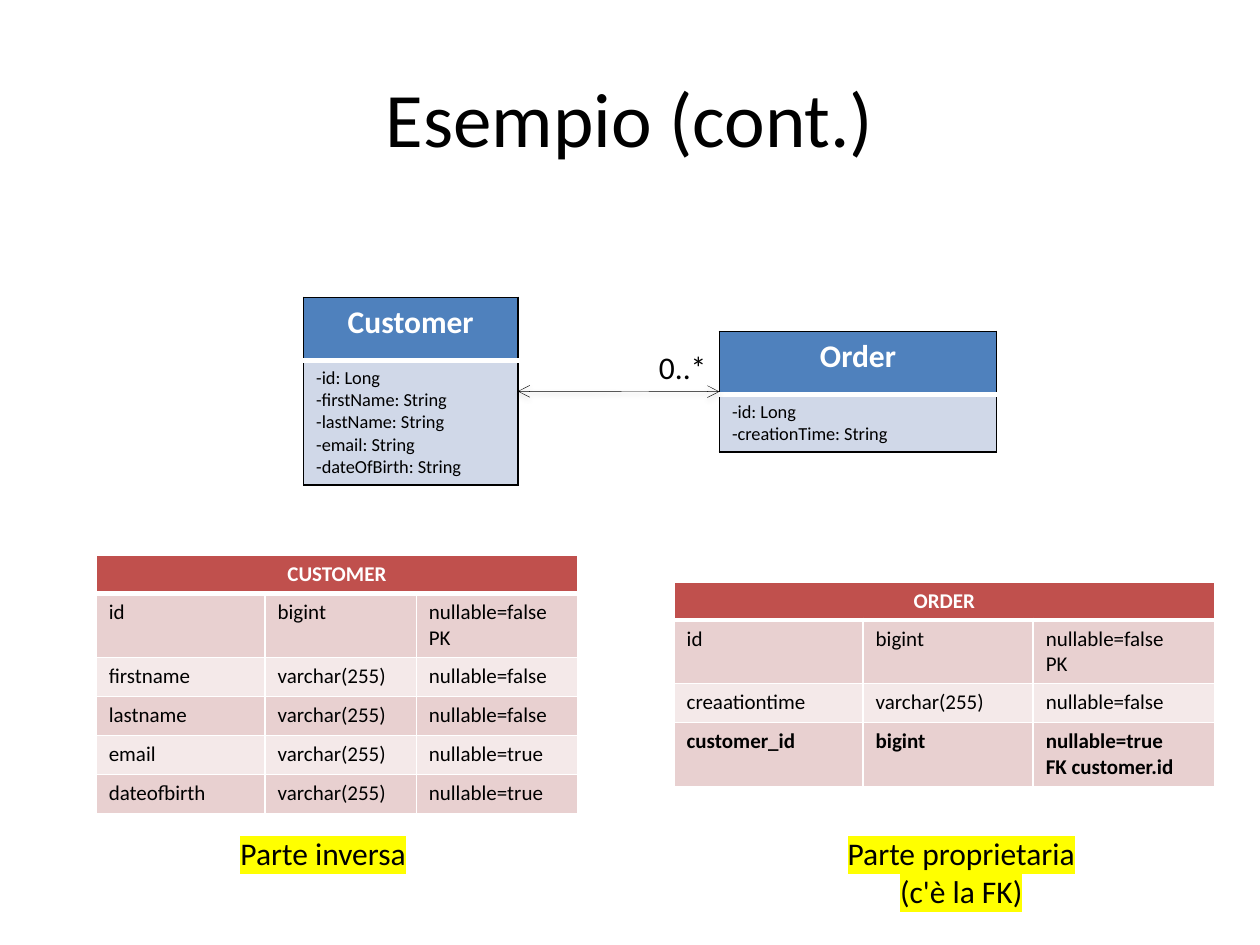
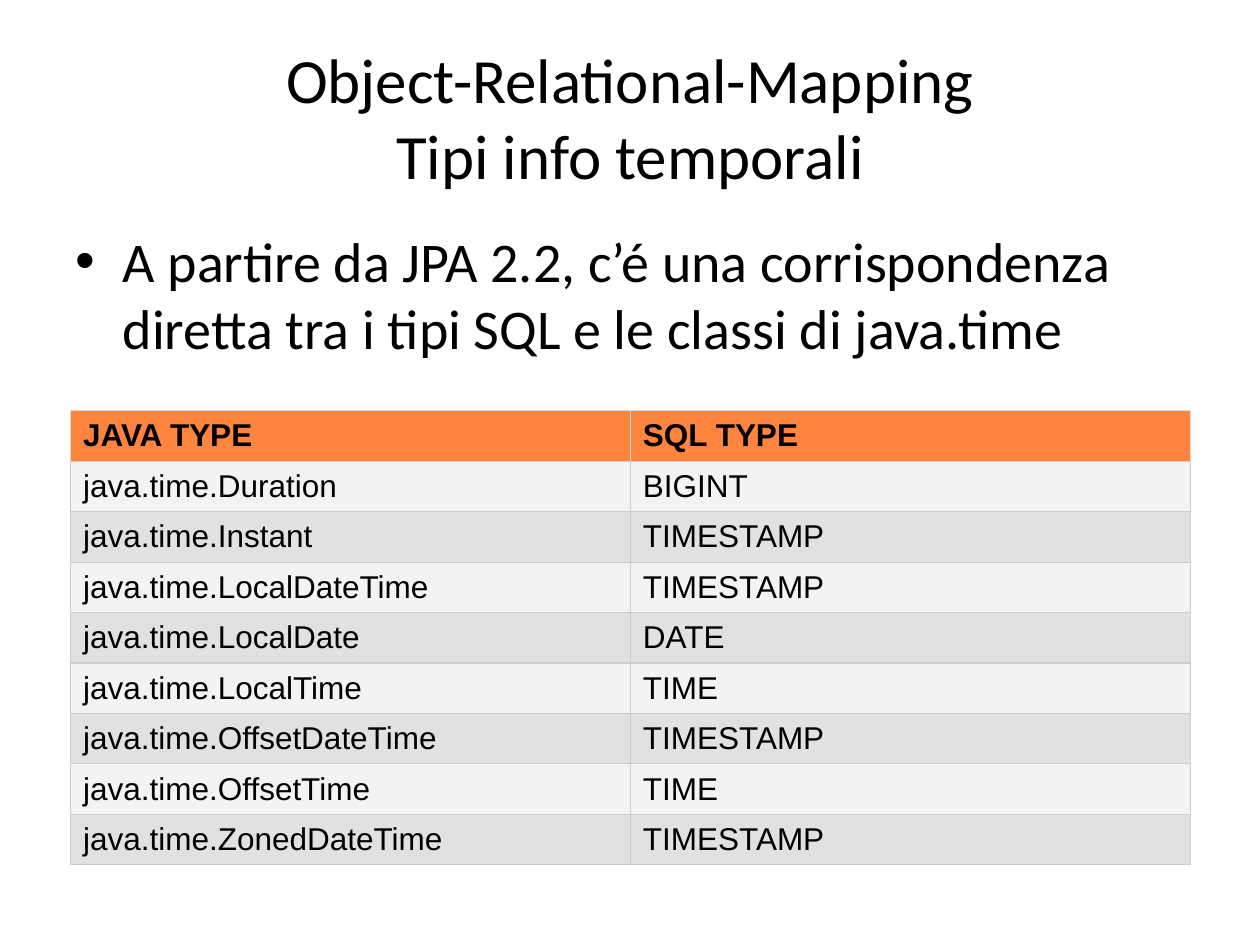
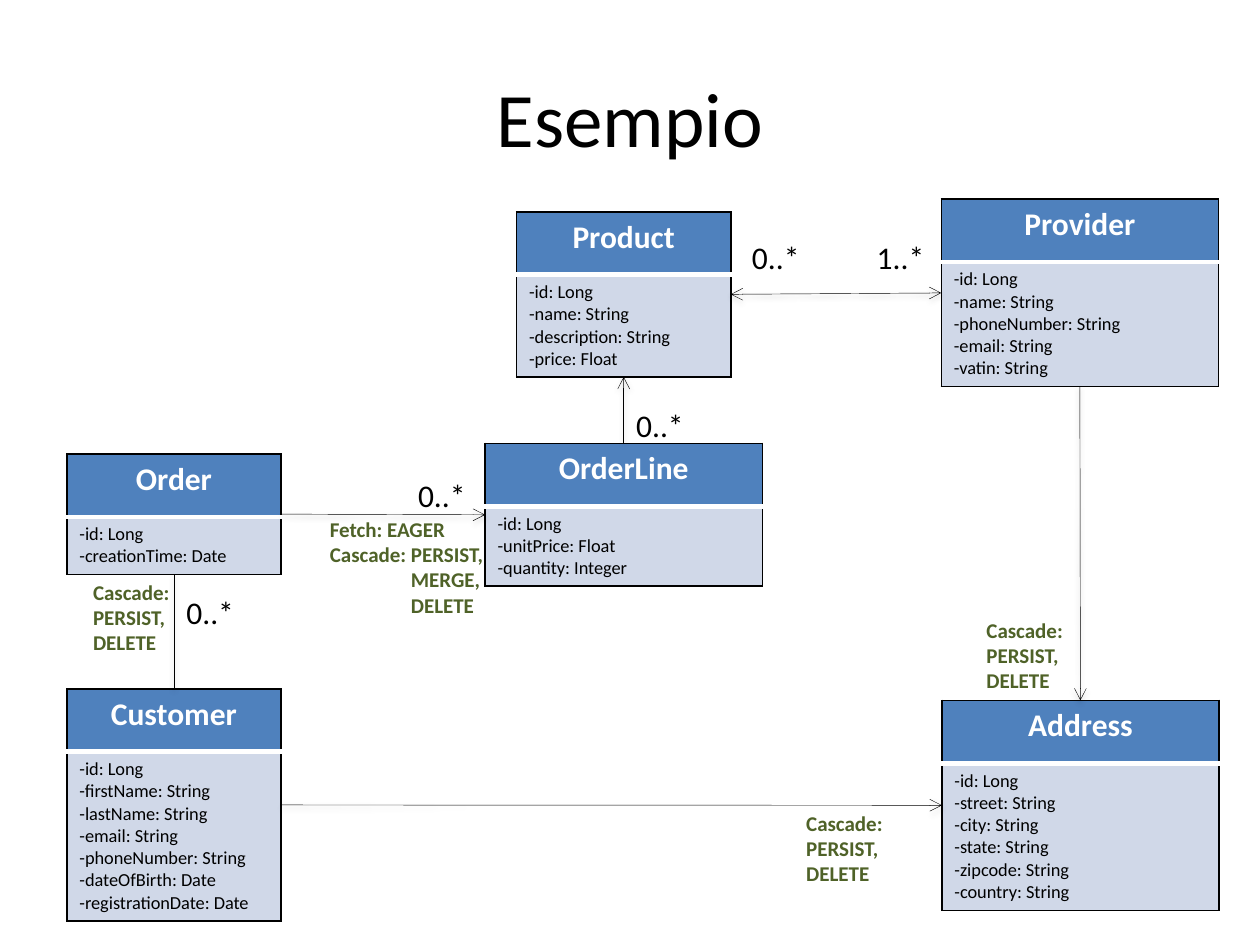
"""Build three slides on object-relational mapping."""
import dataclasses

import lxml.etree
import pptx
import pptx.dml.color
import pptx.enum.shapes
import pptx.enum.text
import pptx.oxml.ns
import pptx.util

Pt = pptx.util.Pt
qn = pptx.oxml.ns.qn
ALIGN = pptx.enum.text.PP_ALIGN
ANCHOR = pptx.enum.text.MSO_ANCHOR
TOP, LEFT, BOTTOM, RIGHT = range(4)


@dataclasses.dataclass(frozen=True)
class Theme:
    font: str = "Calibri"
    type_font: str = "Arial"
    black: str = "000000"
    white: str = "FFFFFF"
    class_head: str = "4F81BD"
    class_body: str = "D0D8E8"
    db_head: str = "C0504D"
    db_bands: tuple = ("E8D0D0", "F4E9E9")
    type_head: str = "FF843D"
    type_bands: tuple = ("F3F3F3", "E2E1E1")
    type_line: str = "CCCCCC"
    type_head_line: str = "D9DCDD"
    note: str = "4F6228"
    marker: str = "FFFF00"
    title: float = 44
    long_title: float = 36
    body: float = 32
    label: float = 18
    small: float = 12
    attribute: float = 10.5


T = Theme()
NARROW, WIDE = 122.4, 158.4

MAPPING = {
    "title": "Esempio (cont.)",
    "classes": {
        "Customer": (173.5, 170, NARROW, [
            "id: Long", "firstName: String", "lastName: String",
            "email: String", "dateOfBirth: String"]),
        "Order": (411.1, 189.4, WIDE, ["id: Long", "creationTime: String"]),
    },
    "links": [("Customer", RIGHT, "Order", LEFT, "both")],
    "multiplicities": [("0..*", 369.4, 195.1)],
}
DB_TABLES = [
    ("CUSTOMER", 55, 317.5, (96.5, 86.4, 92.2), [
        ("id", "bigint", "nullable=false\nPK"),
        ("firstname", "varchar(255)", "nullable=false"),
        ("lastname", "varchar(255)", "nullable=false"),
        ("email", "varchar(255)", "nullable=true"),
        ("dateofbirth", "varchar(255)", "nullable=true")]),
    ("ORDER", 385.2, 332.6, (108, 97.2, 103.7), [
        ("id", "bigint", "nullable=false\nPK"),
        ("creaationtime", "varchar(255)", "nullable=false"),
        ("customer_id", "bigint", "nullable=true\nFK customer.id")]),
]
SIDES = [
    (["Parte proprietaria", "(c'è la FK)"], 476.6, 473, 145.4, 51),
    (["Parte inversa"], 129.6, 473, 110.2, 29),
]

TYPES_TITLE = "Object-Relational-Mapping\nTipi info temporali"
TYPES_BULLET = ("A partire da JPA 2.2, c’é una corrispondenza diretta "
                "tra i tipi SQL e le classi di java.time")
TYPES = [
    ("JAVA TYPE", "SQL TYPE"),
    ("java.time.Duration", "BIGINT"),
    ("java.time.Instant", "TIMESTAMP"),
    ("java.time.LocalDateTime", "TIMESTAMP"),
    ("java.time.LocalDate", "DATE"),
    ("java.time.LocalTime", "TIME"),
    ("java.time.OffsetDateTime", "TIMESTAMP"),
    ("java.time.OffsetTime", "TIME"),
    ("java.time.ZonedDateTime", "TIMESTAMP"),
]

MODEL = {
    "title": "Esempio",
    "classes": {
        "Product": (295.2, 121, NARROW, [
            "id: Long", "name: String", "description: String",
            "price: Float"]),
        "Provider": (537.9, 113.8, WIDE, [
            "id: Long", "name: String", "phoneNumber: String",
            "email: String", "vatin: String"]),
        "Order": (38.2, 259.4, NARROW, ["id: Long", "creationTime: Date"]),
        "OrderLine": (277.2, 253.4, WIDE, [
            "id: Long", "unitPrice: Float", "quantity: Integer"]),
        "Customer": (38.2, 393.6, NARROW, [
            "id: Long", "firstName: String", "lastName: String",
            "email: String", "phoneNumber: String", "dateOfBirth: Date",
            "registrationDate: Date"]),
        "Address": (538.2, 400.2, WIDE, [
            "id: Long", "street: String", "city: String", "state: String",
            "zipcode: String", "country: String"]),
    },
    "links": [
        ("Product", RIGHT, "Provider", LEFT, "both"),
        ("Order", RIGHT, "OrderLine", LEFT, "end"),
        ("OrderLine", TOP, "Product", BOTTOM, "end"),
        ("Customer", RIGHT, "Address", LEFT, "end"),
        ("Customer", TOP, "Order", BOTTOM, "none"),
        ("Provider", BOTTOM, "Address", TOP, "end"),
    ],
    "multiplicities": [
        ("1..*", 493.9, 132.5), ("0..*", 422.6, 132.5),
        ("0..*", 231.8, 268.6), ("0..*", 99.4, 335.5),
        ("0..*", 356.4, 228.2)],
}
FETCH = ["Fetch: EAGER", "Cascade: PERSIST,", "MERGE,", "DELETE"]
CASCADE = ["Cascade:", "PERSIST, DELETE"]
NOTES = [
    (FETCH, 181.4, 291.6, 108.7, 65.5),
    (CASCADE, 453.6, 459.4, 92.2, 51),
    (CASCADE, 46.1, 327.6, 64.8, 51),
    (CASCADE, 556.6, 349.2, 83.5, 51),
]


def rgb(value):
    return pptx.dml.color.RGBColor.from_string(value)


def add_xml(parent, tag, **attrs):
    return lxml.etree.SubElement(parent, qn(tag), attrs)


def format_text(tf, size, color=T.black, bold=False, align=ALIGN.LEFT,
                font=T.font):
    for p in tf.paragraphs:
        p.alignment = align
        for r in p.runs:
            r.font.name = font
            r.font.size = Pt(size)
            r.font.bold = bold
            r.font.color.rgb = rgb(color)


def add_text(s, box, lines, size, wrap=True, **style):
    tf = s.shapes.add_textbox(*map(Pt, box)).text_frame
    tf.word_wrap = wrap
    tf.text = "\n".join(lines)
    format_text(tf, size, **style)
    return tf


def add_title(s, title, size=T.title):
    tf = add_text(s, (36, 21.6, 648, 90), [""], size)
    tf.vertical_anchor = ANCHOR.MIDDLE
    tf.paragraphs[0].text = title
    format_text(tf, size, align=ALIGN.CENTER)


def add_table(s, x, y, widths, heights):
    frame = s.shapes.add_table(len(heights), len(widths), Pt(x), Pt(y),
                               Pt(sum(widths)), Pt(sum(heights)))
    for column, width in zip(frame.table.columns, widths):
        column.width = Pt(width)
    for row, height in zip(frame.table.rows, heights):
        row.height = Pt(height)
    return frame


def fill_cell(cell, text, fill, borders, size, **style):
    cell.text_frame.text = text
    format_text(cell.text_frame, size, **style)
    tcPr = cell._tc.get_or_add_tcPr()
    for side, (color, width) in zip("LRTB", borders):
        ln = add_xml(tcPr, "a:ln" + side, w=str(Pt(width)))
        add_xml(add_xml(ln, "a:solidFill"), "a:srgbClr", val=color)
    cell.fill.solid()
    cell.fill.fore_color.rgb = rgb(fill)


def add_class(s, name, x, y, width, attributes):
    frame = add_table(s, x, y, [width], [36, 7.2 + 12.8 * len(attributes)])
    edge, rule = (T.black, 1), (T.white, 3)
    fill_cell(frame.table.cell(0, 0), name, T.class_head,
              (edge, edge, edge, rule), T.label, color=T.white, bold=True,
              align=ALIGN.CENTER)
    fill_cell(frame.table.cell(1, 0), "\n".join("-" + a for a in attributes),
              T.class_body, (edge, edge, rule, edge), T.attribute)
    return frame


def add_link(s, start, start_side, end, end_side, arrows):
    sp = s.shapes.add_connector(pptx.enum.shapes.MSO_CONNECTOR.STRAIGHT,
                                0, 0, 0, 0)
    sp.begin_connect(start, start_side)
    sp.end_connect(end, end_side)
    sp.line.width = Pt(0.25)
    sp.line.color.rgb = rgb(T.black)
    ln = sp.line._get_or_add_ln()
    if arrows == "both":
        add_xml(ln, "a:headEnd", type="arrow")
    if arrows != "none":
        add_xml(ln, "a:tailEnd", type="arrow")
    effects = add_xml(sp._element.spPr, "a:effectLst")
    shadow = add_xml(effects, "a:outerShdw", blurRad=str(Pt(3.1)),
                     dist=str(Pt(1.6)), dir="5400000", rotWithShape="0")
    add_xml(add_xml(shadow, "a:srgbClr", val=T.black), "a:alpha", val="38000")


def add_diagram(s, diagram):
    add_title(s, diagram["title"])
    frames = {name: add_class(s, name, *place)
              for name, place in diagram["classes"].items()}
    for start, start_side, end, end_side, arrows in diagram["links"]:
        add_link(s, frames[start], start_side, frames[end], end_side, arrows)
    for text, x, y in diagram["multiplicities"]:
        add_text(s, (x, y, 41.8, 29), [text], T.label, wrap=False)


def add_db_table(s, name, x, y, widths, rows):
    heights = [36.5 if "\n" in row[-1] else 22.3 for row in rows]
    table = add_table(s, x, y, widths, [21.6] + heights).table
    edge, rule = (T.white, 1), (T.white, 3)
    table.cell(0, 0).merge(table.cell(0, len(widths) - 1))
    fill_cell(table.cell(0, 0), name, T.db_head, (edge, edge, edge, rule),
              T.small, color=T.white, bold=True, align=ALIGN.CENTER)
    for i, row in enumerate(rows):
        top = rule if i == 0 else edge
        for j, text in enumerate(row):
            fill_cell(table.cell(i + 1, j), text, T.db_bands[i % 2],
                      (edge, edge, top, edge), T.small, bold="FK" in row[-1])


def highlight(tf):
    for p in tf.paragraphs:
        for r in p.runs:
            mark = lxml.etree.Element(qn("a:highlight"))
            add_xml(mark, "a:srgbClr", val=T.marker)
            r.font._element.find(qn("a:solidFill")).addnext(mark)


def mapping_slide(s):
    add_diagram(s, MAPPING)
    for db_table in DB_TABLES:
        add_db_table(s, *db_table)
    for lines, *box in SIDES:
        highlight(add_text(s, box, lines, T.label, wrap=False,
                           align=ALIGN.CENTER))


def types_slide(s):
    add_title(s, TYPES_TITLE, T.long_title)
    tf = add_text(s, (36, 126, 648, 356.4), [TYPES_BULLET], T.body)
    pPr = tf.paragraphs[0]._p.get_or_add_pPr()
    pPr.set("marL", str(Pt(27)))
    pPr.set("indent", str(Pt(-27)))
    add_xml(pPr, "a:buFont", typeface=T.type_font)
    add_xml(pPr, "a:buChar", char="•")
    table = add_table(s, 40.3, 234.7, [319.9] * 2, [27.7] * len(TYPES)).table
    for i, row in enumerate(TYPES):
        head = i == 0
        edge = (T.type_head_line if head else T.type_line, 0.75)
        fill = T.type_head if head else T.type_bands[(i - 1) % 2]
        for j, text in enumerate(row):
            cell = table.cell(i, j)
            cell.vertical_anchor = ANCHOR.MIDDLE
            fill_cell(cell, text, fill, (edge, edge, edge, (T.type_line, 0.75)),
                      T.label, bold=head, font=T.type_font)


def model_slide(s):
    add_diagram(s, MODEL)
    for lines, *box in NOTES:
        tf = add_text(s, box, lines, T.small, color=T.note, bold=True)
        for p in tf.paragraphs[2:]:
            p._p.get_or_add_pPr().set("marL", str(Pt(46.3)))


def main():
    prs = pptx.Presentation()
    prs.slide_width, prs.slide_height = Pt(720), Pt(540)
    for build in (mapping_slide, types_slide, model_slide):
        build(prs.slides.add_slide(prs.slide_layouts[6]))
    prs.save("out.pptx")


if __name__ == "__main__":
    main()
